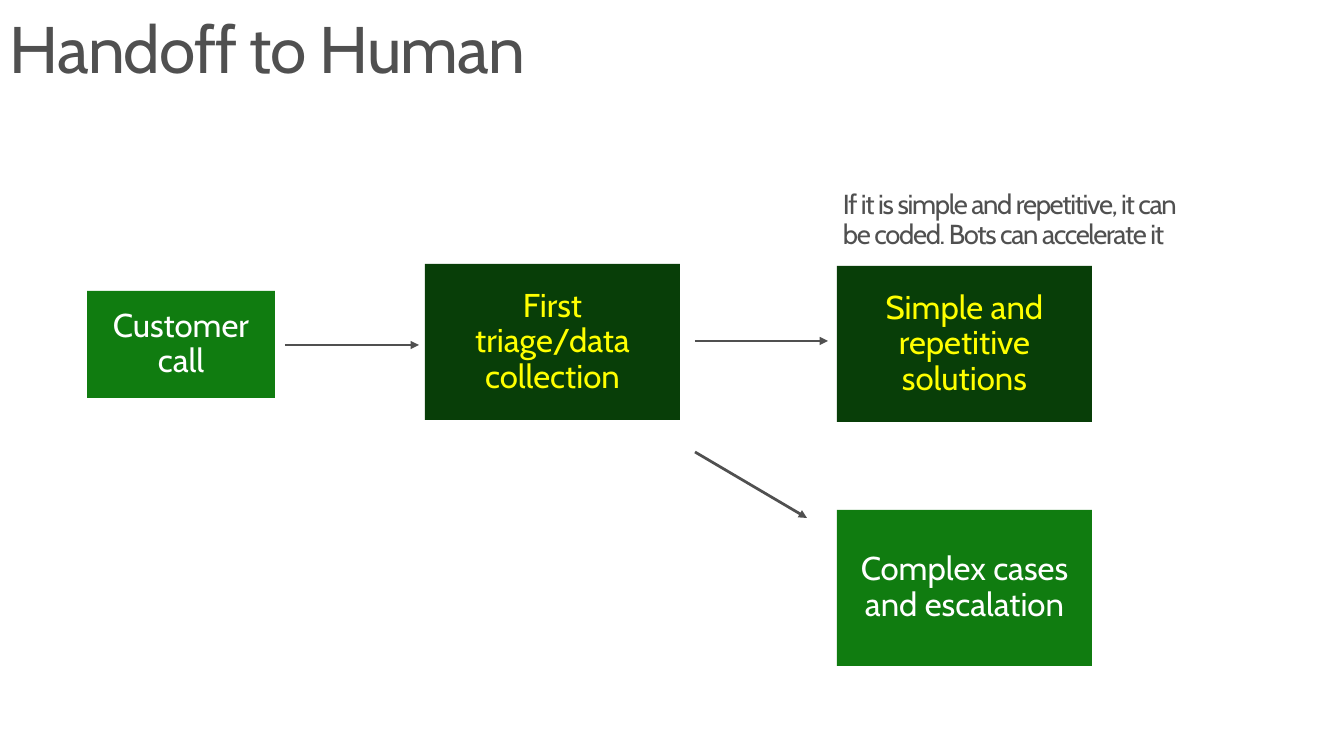
from lxml.etree import SubElement
from pptx import Presentation
from pptx.dml.color import RGBColor
from pptx.enum.shapes import MSO_CONNECTOR, MSO_SHAPE
from pptx.enum.text import MSO_ANCHOR, MSO_AUTO_SIZE, PP_ALIGN
from pptx.oxml.ns import qn
from pptx.util import Pt

PX = 9255
FONT = "Cabin"
GRAY = RGBColor(0x50, 0x50, 0x50)
GREEN = RGBColor(0x10, 0x7C, 0x10)
DARK_GREEN = RGBColor(0x08, 0x3E, 0x08)
WHITE = RGBColor(0xFF, 0xFF, 0xFF)
YELLOW = RGBColor(0xFF, 0xFF, 0x00)

SLIDE_SIZE = (1344, 756)
TITLE = ("Handoff to Human", (0, 7, 1284, 99))
NOTE = (
    "If it is simple and repetitive, it can be coded. Bots can accelerate it",
    (827, 181, 381, 169),
)
STEPS = [
    ("Customer call", (87, 291, 188, 107), GREEN, WHITE),
    ("First triage/data collection", (425, 264, 255, 156), DARK_GREEN, YELLOW),
    ("Simple and repetitive solutions", (837, 266, 255, 156), DARK_GREEN, YELLOW),
    ("Complex cases and escalation", (837, 510, 255, 156), GREEN, WHITE),
]
ARROWS = [
    (285, 345, 419, 345),
    (695, 341, 828, 341),
    (695, 452, 807, 518),
]


def scaled(lengths):
    return [length * PX for length in lengths]


def apply(target, values):
    for name, value in values.items():
        setattr(target, name, value)


def write(shape, text, size, color, inset, align=PP_ALIGN.LEFT,
          anchor=MSO_ANCHOR.TOP, spacing=0):
    across, down = scaled(inset)
    frame = shape.text_frame
    apply(frame, {
        "word_wrap": True, "auto_size": MSO_AUTO_SIZE.NONE,
        "vertical_anchor": anchor,
        "margin_left": across, "margin_right": across,
        "margin_top": down, "margin_bottom": down,
    })
    para = frame.paragraphs[0]
    apply(para, {"alignment": align, "line_spacing": 0.9})
    span = para.add_run()
    span.text = text
    apply(span.font, {"name": FONT, "size": Pt(size)})
    span.font.color.rgb = color
    if spacing:
        span.font._element.set("spc", str(spacing))


def add_step(page, text, place, fill, color):
    box = page.shapes.add_shape(MSO_SHAPE.RECTANGLE, *scaled(place))
    box.shadow.inherit = False
    box.fill.solid()
    box.fill.fore_color.rgb = fill
    box.line.fill.background()
    write(box, text, 24, color, (20, 16), PP_ALIGN.CENTER, MSO_ANCHOR.MIDDLE)


def add_arrow(page, ends):
    arrow = page.shapes.add_connector(MSO_CONNECTOR.STRAIGHT, *scaled(ends))
    arrow.line.color.rgb = GRAY
    arrow.line.width = Pt(2)
    SubElement(arrow.line._get_or_add_ln(), qn("a:tailEnd"), type="triangle")
    SubElement(arrow._element.spPr, qn("a:effectLst"))


def main():
    """Build the slide on handing a customer call over to a human."""
    deck = Presentation()
    deck.slide_width, deck.slide_height = scaled(SLIDE_SIZE)
    page = deck.slides.add_slide(deck.slide_layouts[5])

    text, place = TITLE
    title = page.shapes.title
    apply(title, dict(zip(("left", "top", "width", "height"), scaled(place))))
    write(title, text, 48, GRAY, (10, 10), spacing=-70)

    for step in STEPS:
        add_step(page, *step)
    for ends in ARROWS:
        add_arrow(page, ends)

    text, place = NOTE
    note = page.shapes.add_textbox(*scaled(place))
    write(note, text, 20, GRAY, (16, 10), spacing=-100)

    deck.save("out.pptx")


if __name__ == "__main__":
    main()
